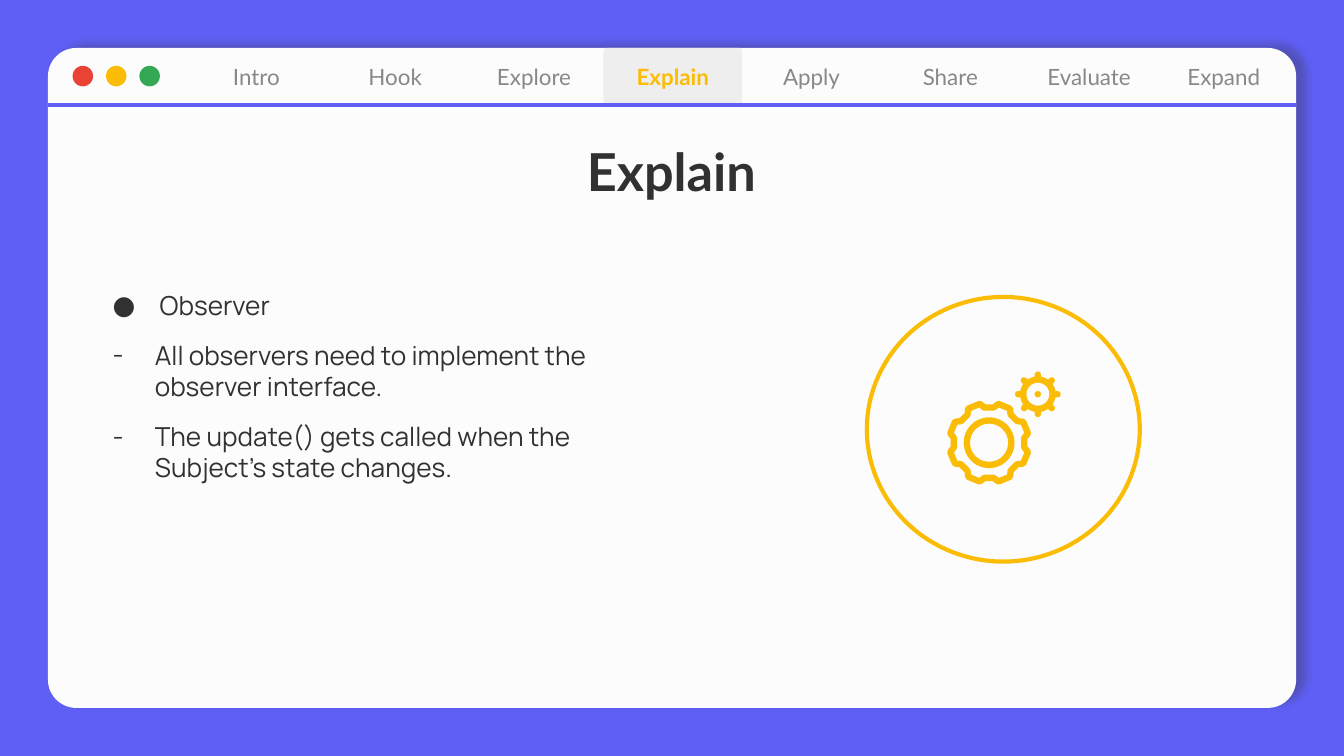
from math import cos, radians, sin
from lxml.etree import SubElement
from pptx import Presentation
from pptx.dml.color import RGBColor
from pptx.enum.shapes import MSO_CONNECTOR, MSO_SHAPE
from pptx.enum.text import MSO_ANCHOR, MSO_AUTO_SIZE, PP_ALIGN
from pptx.oxml.ns import qn
from pptx.util import Pt

TITLE = "Explain"
TABS = ["Intro", "Hook", "Explore", "Explain", "Apply", "Share", "Evaluate", "Expand"]
BULLETS = [
    ("●", 25.2, "Observer"),
    ("-", 22.6, "All observers need to implement the observer interface."),
    ("-", 22.6, "The update() gets called when the Subject’s state changes."),
]
THEME = {
    "bg": "5F5FF5", "card": "FCFCFC", "ink": "313131", "muted": "888888",
    "accent": "FBBC05", "active": "EEEEEE", "dots": ["EA4335", "FBBC05", "34A853"],
    "head": "Lato", "body": "Manrope", "title_pt": 28, "body_pt": 14, "tab_pt": 12,
    "rule": 2.25, "icon": 3.4,
}
CARD = (25.7, 25.7, 668.7, 353.6)
TAB_LEFT, TAB_W, TAB_H = 100.2, 74.35, 30.4
DOT_LEFT, DOT_TOP, DOT_SIZE, DOT_STEP = 38.9, 35.3, 11, 17.9
BIG_GEAR, SMALL_GEAR = (529.9, 237.2), (556, 211.2)
TEETH = 8


def rgb(hex_color):
    return RGBColor.from_string(hex_color)


def paint(sp, fill=None, line=None, width=0):
    sp.shadow.inherit = False
    if fill:
        sp.fill.solid()
        sp.fill.fore_color.rgb = rgb(fill)
    else:
        sp.fill.background()
    if line:
        sp.line.color.rgb = rgb(line)
        sp.line.width = Pt(width)
        SubElement(sp.line._get_or_add_ln(), qn("a:round"))
    else:
        sp.line.fill.background()
    return sp


def add_shape(s, kind, box, adj=None, **look):
    sp = s.shapes.add_shape(kind, *map(Pt, box))
    if adj is not None:
        sp.adjustments[0] = adj
    return paint(sp, **look)


def add_circle(s, center, radius, **look):
    x, y = center
    return add_shape(s, MSO_SHAPE.OVAL, (x - radius, y - radius, 2 * radius, 2 * radius), **look)


def polar(center, radius, angle):
    a = radians(angle)
    return center[0] + radius * cos(a), center[1] + radius * sin(a)


def format_frame(tf, anchor, inset):
    values = {"word_wrap": True, "auto_size": MSO_AUTO_SIZE.NONE, "vertical_anchor": anchor}
    values.update({f"margin_{side}": Pt(inset) for side in ("left", "top", "right", "bottom")})
    for name, value in values.items():
        setattr(tf, name, value)


def write(p, text, font, size, color, bold=False, align=PP_ALIGN.CENTER):
    p.alignment = align
    r = p.add_run()
    r.text = text
    for name, value in {"name": font, "size": Pt(size), "bold": bold}.items():
        setattr(r.font, name, value)
    r.font.color.rgb = rgb(color)


def add_card(s):
    sp = add_shape(s, MSO_SHAPE.ROUNDED_RECTANGLE, CARD, 0.043, fill=THEME["card"])
    effects = sp._element.spPr.find(qn("a:effectLst"))
    shadow = SubElement(effects, qn("a:outerShdw"), blurRad=str(Pt(4.5)), dist=str(Pt(6)),
                        dir=str(342 * 60000), algn="bl", rotWithShape="0")
    color = SubElement(shadow, qn("a:srgbClr"), val=THEME["ink"])
    SubElement(color, qn("a:alpha"), val="30000")


def add_tabs(s):
    for i, name in enumerate(TABS):
        active, last = name == TITLE, i == len(TABS) - 1
        kind = MSO_SHAPE.ROUND_1_RECTANGLE if last else MSO_SHAPE.ROUNDED_RECTANGLE
        sp = add_shape(s, kind, (TAB_LEFT + i * TAB_W, CARD[1], TAB_W, TAB_H),
                       0.5 if last else 0.06, fill=THEME["active"] if active else None)
        format_frame(sp.text_frame, MSO_ANCHOR.MIDDLE, 7.2 if last else 0)
        write(sp.text_frame.paragraphs[0], name, THEME["head"], THEME["tab_pt"],
              THEME["accent"] if active else THEME["muted"], active)
    for i, color in enumerate(THEME["dots"]):
        add_shape(s, MSO_SHAPE.OVAL, (DOT_LEFT + i * DOT_STEP, DOT_TOP, DOT_SIZE, DOT_SIZE), fill=color)
    y = CARD[1] + TAB_H
    rule = s.shapes.add_connector(MSO_CONNECTOR.STRAIGHT, *map(Pt, (CARD[0], y, CARD[0] + CARD[2], y)))
    rule.line.color.rgb = rgb(THEME["bg"])
    rule.line.width = Pt(THEME["rule"])
    SubElement(rule._element.spPr, qn("a:effectLst"))


def add_gears(s):
    accent = THEME["accent"]
    stroke = {"line": accent, "width": THEME["icon"]}
    step = 360 / TEETH
    add_shape(s, MSO_SHAPE.OVAL, (464.4, 159.1, 146.2, 141.8), line=accent, width=THEME["rule"])

    outline = []
    for i in range(TEETH):
        for radius, angle in ((19, -7.5), (19, 7.5), (21.4, 13.5), (21.4, 31.5)):
            x, y = polar(BIG_GEAR, radius, i * step + angle)
            outline.append((Pt(x), Pt(y)))
    builder = s.shapes.build_freeform(*outline[0], scale=1.0)
    builder.add_line_segments(outline[1:], close=True)
    paint(builder.convert_to_shape(), **stroke)
    add_circle(s, BIG_GEAR, 11.9, **stroke)

    for i in range(TEETH):
        x, y = polar(SMALL_GEAR, 9.5, i * step)
        tooth = add_shape(s, MSO_SHAPE.ROUNDED_RECTANGLE, (x - 2.7, y - 1.7, 5.4, 3.4), 0.5, fill=accent)
        tooth.rotation = i * step
    add_circle(s, SMALL_GEAR, 7.9, **stroke)
    add_circle(s, SMALL_GEAR, 1.7, fill=accent)


def add_body(s):
    tf = s.shapes.add_textbox(*map(Pt, (53.3, 147.6, 303.8, 180))).text_frame
    format_frame(tf, MSO_ANCHOR.TOP, 7.2)
    for i, (mark, indent, text) in enumerate(BULLETS):
        p = tf.add_paragraph() if i else tf.paragraphs[0]
        p.space_before = Pt(10)
        write(p, text, THEME["body"], THEME["body_pt"], THEME["ink"], align=PP_ALIGN.LEFT)
        pPr = p._p.get_or_add_pPr()
        pPr.set("marL", str(Pt(indent)))
        pPr.set("indent", str(-Pt(indent)))
        SubElement(SubElement(pPr, qn("a:buClr")), qn("a:srgbClr"), val=THEME["ink"])
        SubElement(pPr, qn("a:buFont"), typeface=THEME["body"])
        SubElement(pPr, qn("a:buChar"), char=mark)


def add_title(s):
    sp = s.shapes.title
    box = {"left": 53.3, "top": 81.4, "width": 612.7, "height": 33.8}
    for name, value in box.items():
        setattr(sp, name, Pt(value))
    format_frame(sp.text_frame, MSO_ANCHOR.BOTTOM, 7.2)
    p = sp.text_frame.paragraphs[0]
    p.line_spacing = 0.8
    write(p, TITLE, THEME["head"], THEME["title_pt"], THEME["ink"], True)
    s.shapes._spTree.append(sp._element)


def main():
    prs = Presentation()
    prs.slide_width, prs.slide_height = Pt(720), Pt(405)
    s = prs.slides.add_slide(prs.slide_layouts[5])
    s.background.fill.solid()
    s.background.fill.fore_color.rgb = rgb(THEME["bg"])
    for build in (add_card, add_tabs, add_gears, add_body, add_title):
        build(s)
    prs.save("out.pptx")


if __name__ == "__main__":
    main()
